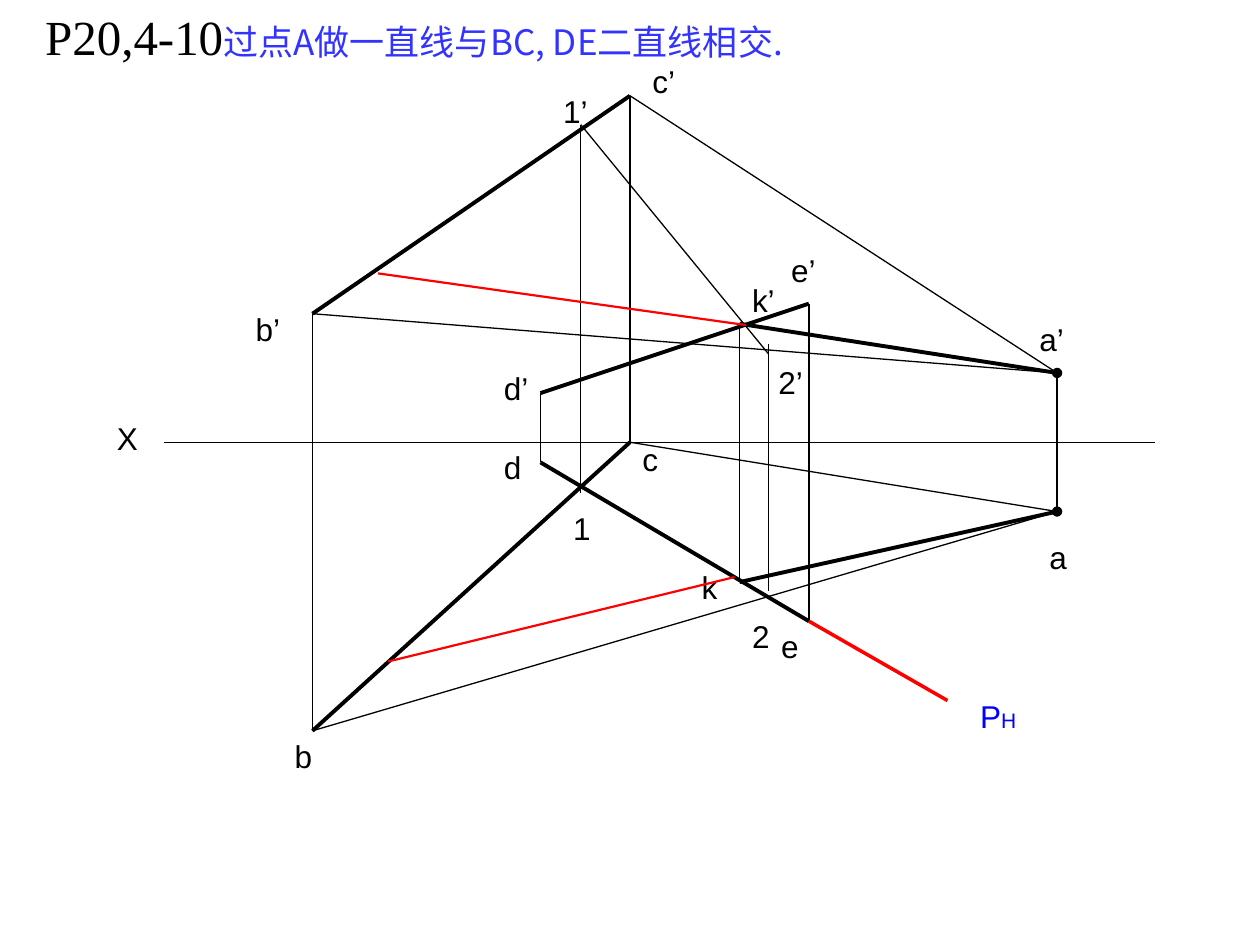
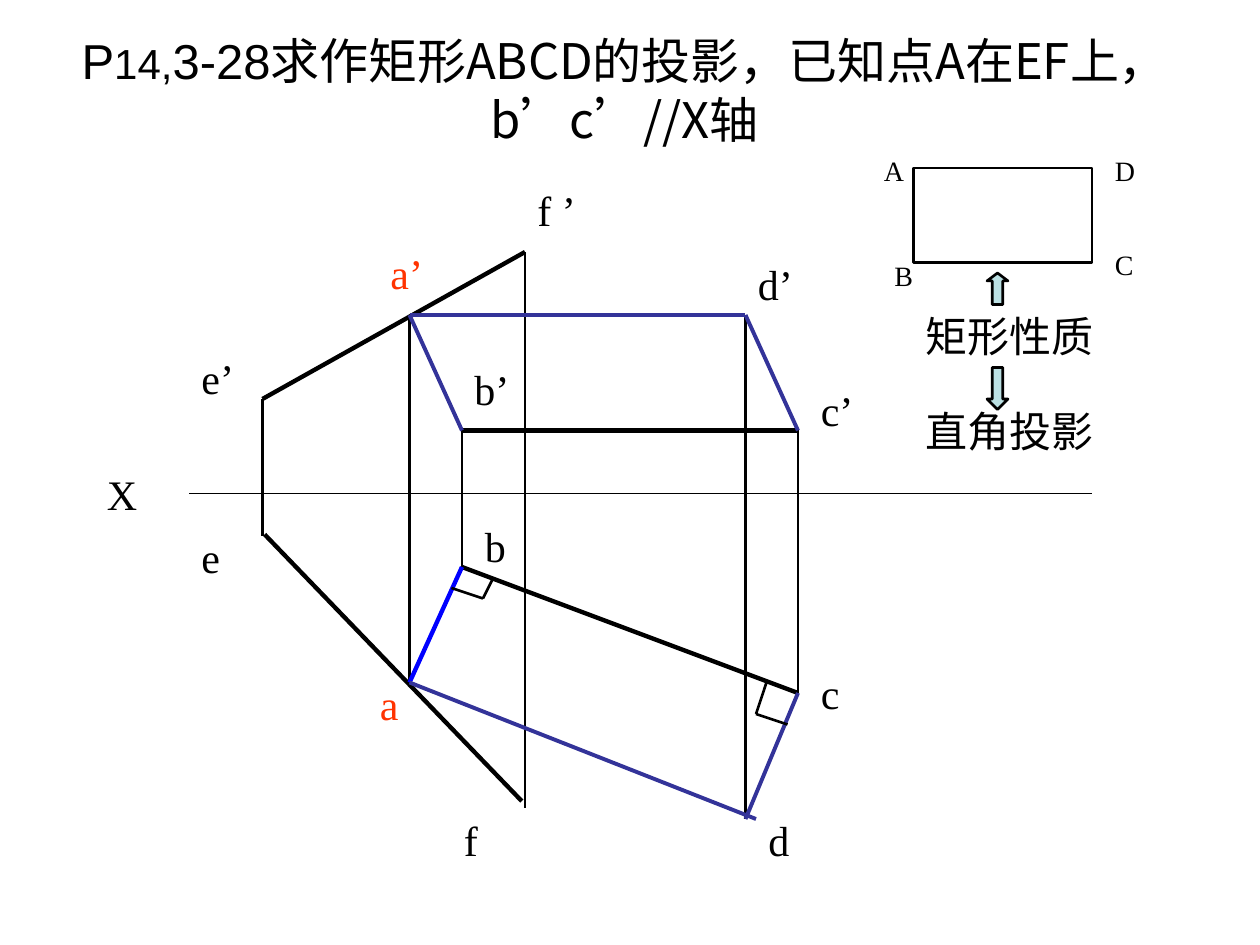
"""Two descriptive-geometry slides: a line meeting two lines, and the projections of a rectangle."""
from lxml import etree
from pptx import Presentation
from pptx import util as u
from pptx.dml.color import RGBColor
from pptx.enum import shapes, text
from pptx.oxml.ns import qn

COLORS = {"ink": "000000", "red": "FF0000", "blue": "0000FF", "title": "3333FF",
          "navy": "333399", "orange": "FF3300", "arrow": "BBE0E3"}
ARIAL, TIMES, CJK = "Arial", "Times New Roman", "Noto Sans CJK SC"
THIN, EDGE, MEDIUM, BOLD, HEAVY = 0.74, 1.5, 2, 2.24, 2.49

prs = Presentation()
prs.slide_width, prs.slide_height = u.Inches(10), u.Inches(7.5)
blank = prs.slide_layouts[6]


def segment(group, cell, start, end, width, color="ink", dots=False):
    sp = group.add_connector(shapes.MSO_CONNECTOR.STRAIGHT,
                             *[round(v * cell) for v in (*start, *end)])
    sp.line.width = u.Pt(width)
    sp.line.color.rgb = RGBColor.from_string(COLORS[color])
    props = sp._element.spPr
    if dots:
        for tag in ("a:headEnd", "a:tailEnd"):
            etree.SubElement(props.find(qn("a:ln")), qn(tag), type="oval")
    etree.SubElement(props, qn("a:effectLst"))


def label(s, cell, at, runs, heading=False):
    sp = s.shapes.add_textbox(*[round(v * cell) for v in at])
    tf = sp.text_frame
    tf.word_wrap = True
    p = tf.paragraphs[0]
    for words, size, font, color in runs:
        r = p.add_run()
        r.text = words
        r.font.size = u.Pt(size)
        r.font.color.rgb = RGBColor.from_string(COLORS[color])
        r.font.name = font
        etree.SubElement(r._r.get_or_add_rPr(), qn("a:ea"), typeface=CJK)
    if heading:
        p.alignment = text.PP_ALIGN.CENTER
        tf.vertical_anchor = text.MSO_ANCHOR.MIDDLE
    else:
        p.space_before = u.Pt(runs[-1][1] * 0.625)
        tf.auto_size = text.MSO_AUTO_SIZE.SHAPE_TO_FIT_TEXT


s = prs.slides.add_slide(blank)
cell = prs.slide_width / 1000
label(s, cell, (26, 0, 702, 57), [("P20,4-10", 28, TIMES, "ink"),
                                  ("过点A做一直线与BC, DE二直线相交.", 20, CJK, "title")])

pt = {"b’": (248, 249), "b": (248, 580), "c’": (500, 76), "c": (500, 351),
      "d’": (429, 312), "d": (429, 367), "e’": (642, 241), "e": (642, 493),
      "a’": (839, 296), "a": (839, 406), "1’": (461, 99), "1": (461, 391),
      "2’": (610, 273), "2": (610, 469), "k’": (587, 257), "k": (587, 462)}
segment(s.shapes, cell, (130, 351), (917, 351), THIN)
for name in "bcdea12k":
    segment(s.shapes, cell, pt[name + "’"], pt[name], THIN, dots=name == "a")
for start, end, width in [("b’", "c’", BOLD), ("b", "c", BOLD), ("d’", "e’", BOLD),
                          ("d", "e", BOLD), ("a’", "k’", BOLD), ("a", "k", BOLD),
                          ("c’", "a’", THIN), ("b’", "a’", THIN),
                          ("c", "a", THIN), ("b", "a", THIN)]:
    segment(s.shapes, cell, pt[start], pt[end], width)
segment(s.shapes, cell, pt["1’"], (610, 281), THIN)

for words, x, y in [("X", 83, 328), ("b", 224, 580), ("b’", 193, 241), ("e", 610, 493),
                    ("d", 390, 351), ("c", 500, 344), ("a", 823, 422), ("c’", 508, 44),
                    ("e’", 618, 194), ("d’", 390, 288), ("a’", 815, 249), ("1", 445, 399),
                    ("1’", 437, 68), ("2", 587, 485), ("2’", 608, 283), ("k’", 587, 218),
                    ("k", 547, 446)]:
    label(s, cell, (x, y, 71, 40), [(words, 18, ARIAL, "ink")])
label(s, cell, (768, 548, 55, 40), [("P", 18, ARIAL, "blue"), ("H", 12, ARIAL, "blue")])

segment(s.shapes, cell, pt["e"], (752, 556), MEDIUM, "red")
segment(s.shapes, cell, (592, 258), (300, 217), 1.25, "red")
segment(s.shapes, cell, (583, 458), (308, 525), 1.25, "red")

s = prs.slides.add_slide(blank)
cell = prs.slide_width / 120
label(s, cell, (2, 3, 115, 11), [("P", 28, ARIAL, "ink"), ("14,", 24, ARIAL, "ink"),
                                 ("3-28", 28, ARIAL, "ink"),
                                 ("求作矩形ABCD的投影，已知点A在EF上， b’c’//X轴", 28, CJK, "ink")],
      heading=True)

pt = {"e’": (25, 38), "e": (25, 51), "f’": (50, 24), "f": (50, 77),
      "a’": (39, 30), "a": (39, 65), "b’": (44, 41), "b": (44, 54),
      "c’": (76, 41), "c": (76, 66), "d’": (71, 30), "d": (71, 78)}
segment(s.shapes, cell, (18, 47), (104, 47), THIN)
segment(s.shapes, cell, (49.7, 76.3), (25.2, 50.9), HEAVY)
for name in "efabcd":
    segment(s.shapes, cell, pt[name + "’"], pt[name], EDGE)
for start, end, width, color in [("e’", "f’", HEAVY, "ink"), ("b’", "c’", HEAVY, "ink"),
                                 ("b", "c", HEAVY, "ink"), ("b", "a", HEAVY, "blue"),
                                 ("a’", "b’", BOLD, "navy"), ("a’", "d’", BOLD, "navy"),
                                 ("c", "d", BOLD, "navy"), ("c’", "d’", BOLD, "navy")]:
    segment(s.shapes, cell, pt[start], pt[end], width, color)
segment(s.shapes, cell, pt["a"], (72, 78), BOLD, "navy")

for corner in [((43, 56), (46, 57), (47, 55)), ((73, 65), (72, 68), (75, 69))]:
    right_angle = s.shapes.add_group_shape().shapes
    for start, end in zip(corner, corner[1:]):
        segment(right_angle, cell, start, end, EDGE)

for words, x, y, w, color in [("X", 9, 44, 9, "ink"), ("e’", 18, 33, 9, "ink"),
                              ("f ’", 50, 17, 8, "ink"), ("e", 18, 50, 6, "ink"),
                              ("f", 43, 77, 6, "ink"), ("b’", 44, 34, 6, "ink"),
                              ("c’", 77, 36, 6, "ink"), ("b", 45, 49, 6, "ink"),
                              ("c", 77, 63, 6, "ink"), ("a", 35, 64, 6, "orange"),
                              ("a’", 36, 23, 8, "orange"), ("d", 72, 77, 6, "ink"),
                              ("d’", 71, 24, 6, "ink"), ("矩形性质", 87, 29, 21, "ink"),
                              ("直角投影", 87, 38, 19, "ink")]:
    label(s, cell, (x, y, w, 6), [(words, 24, TIMES, color)])
for words, x, y in [("A", 83, 14), ("B", 84, 24), ("D", 105, 14), ("C", 105, 23)]:
    label(s, cell, (x, y, 6, 4.4), [(words, 16, TIMES, "ink")])

kinds = shapes.MSO_SHAPE
for kind, at, fill, head in [(kinds.RECTANGLE, (87, 16, 17, 9), None, None),
                             (kinds.UP_ARROW, (94, 26, 2, 3), "arrow", 0.38),
                             (kinds.DOWN_ARROW, (94, 35, 2, 4), "arrow", 0.5)]:
    sp = s.shapes.add_shape(kind, *[round(v * cell) for v in at])
    sp.shadow.inherit = False
    sp.line.width = u.Pt(EDGE)
    sp.line.color.rgb = RGBColor.from_string(COLORS["ink"])
    if fill:
        sp.fill.solid()
        sp.fill.fore_color.rgb = RGBColor.from_string(COLORS[fill])
        sp.adjustments[1] = head
    else:
        sp.fill.background()

prs.save("out.pptx")
